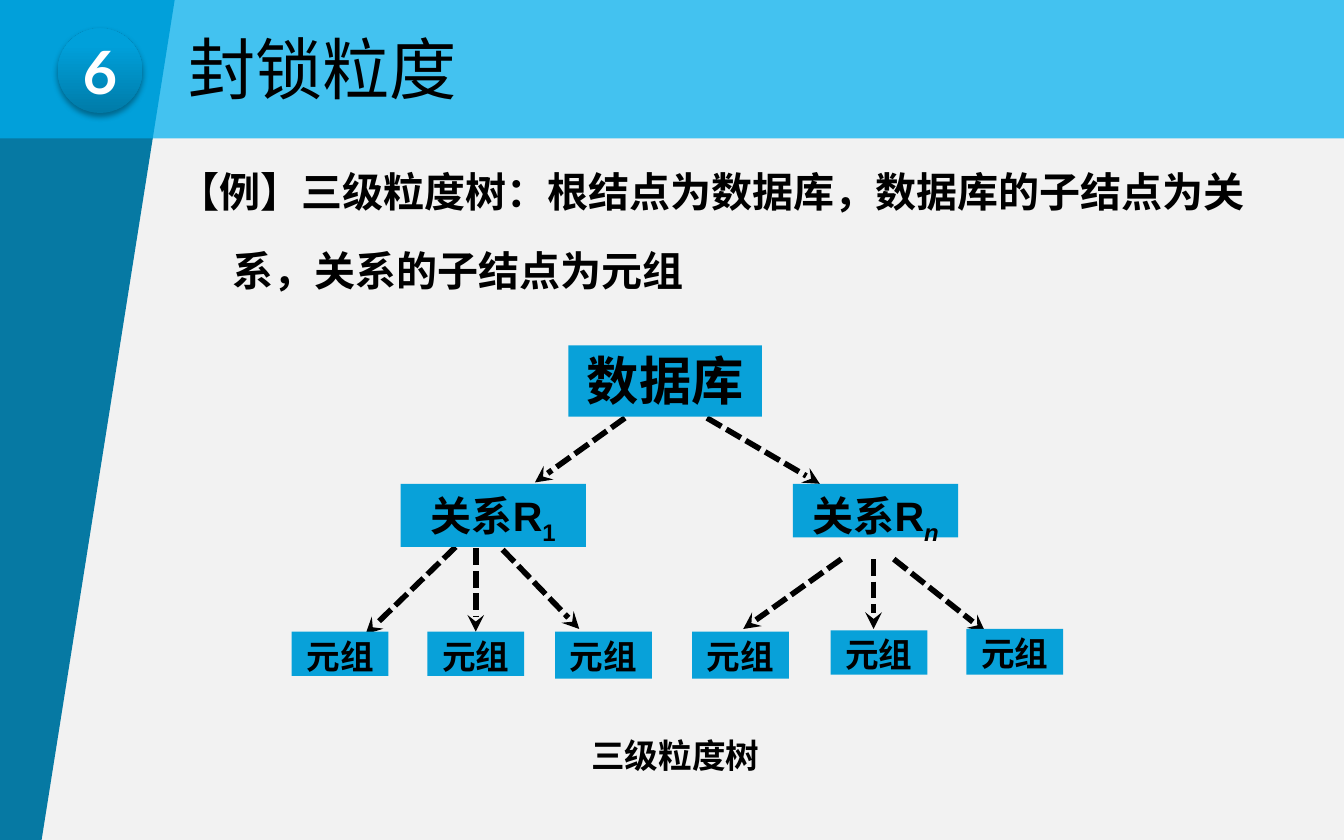
from pptx import Presentation
from pptx.util import Inches, Pt
from pptx.dml.color import RGBColor
from pptx.enum import dml, shapes, text
from pptx.oxml.ns import qn
from lxml import etree

HUES = {"paper": "F2F2F2", "side": "0679A3", "bar": "00B0F0", "node": "08A1D9",
        "ink": "000000", "white": "FFFFFF", "deep": "007BA8", "light": "00A0DA"}
SANS, CJK = "Arial", "Noto Sans CJK SC"
MID = text.PP_ALIGN.CENTER


def hue(name):
    return RGBColor.from_string(HUES[name])


def sub(node, tag, **attrs):
    return etree.SubElement(node, qn(tag), attrs)


def grid(box, cols, rows):
    left, top, wide, high = box

    def cell(x, y, *size):
        spot = [left + wide * x / cols, top + high * y / rows]
        if size:
            spot += [wide * size[0] / cols, high * size[1] / rows]
        return [Inches(v) for v in spot]
    return cell


def plain(shape, fill=None):
    shape.shadow.inherit = False
    shape.line.fill.background()
    if fill:
        shape.fill.solid()
        shape.fill.fore_color.rgb = hue(fill)
    return shape


def run(para, words, size, face=SANS, color="ink", bold=True, **extra):
    item = para.add_run()
    item.text = words
    font = item.font
    font.size, font.name, font.bold = Pt(size), face, bold
    font.color.rgb = hue(color)
    font.italic = extra.get("italic")
    sub(font._element, "a:ea", typeface=CJK)
    if "base" in extra:
        font._element.set("baseline", str(extra["base"] * 1000))


def panel(slide, box):
    cell = grid(box, 100, 100)
    points = [cell(x, y) for x, y in [(0, 0), (13, 0), (3.1, 100), (0, 100)]]
    path = slide.shapes.build_freeform(*points[0])
    path.add_line_segments(points[1:], close=True)
    plain(path.convert_to_shape(), "side")


def head(slide, box):
    cell = grid(box, 100, 100)
    rect = shapes.MSO_SHAPE.RECTANGLE
    bar = plain(slide.shapes.add_shape(rect, *cell(0, 0, 100, 100)), "bar")
    tint = bar.fill._xPr.find(qn("a:solidFill"))[0]
    sub(tint, "a:alpha", val="72000")

    title = slide.shapes.title
    title.left, title.top, title.width, title.height = cell(13, 0, 22.4, 97)
    frame = title.text_frame
    frame.word_wrap = False
    frame.vertical_anchor = text.MSO_ANCHOR.MIDDLE
    frame.paragraphs[0].alignment = text.PP_ALIGN.LEFT
    run(frame.paragraphs[0], "封锁粒度", 36, bold=False)
    slide.shapes._spTree.append(title._element)

    disc = slide.shapes.add_shape(shapes.MSO_SHAPE.OVAL, *cell(4.3, 20.4, 6.3, 61.2))
    plain(disc)
    disc.fill.gradient()
    disc.fill.gradient_angle = 90
    for stop, name, place in zip(disc.fill.gradient_stops, ("deep", "light"), (0, 0.8)):
        stop.color.rgb, stop.position = hue(name), place
    effect = disc._element.spPr.find(qn("a:effectLst"))
    shade = sub(effect, "a:outerShdw", blurRad=str(Pt(3.1)), dist=str(Pt(1.8)),
                dir="5400000", algn="t", rotWithShape="0")
    sub(sub(shade, "a:srgbClr", val=HUES["ink"]), "a:alpha", val="35000")
    frame = disc.text_frame
    frame.word_wrap = False
    frame.vertical_anchor = text.MSO_ANCHOR.MIDDLE
    frame.paragraphs[0].alignment = MID
    run(frame.paragraphs[0], "6", 32, "Lato", "white")


def body(slide, box):
    frame = slide.shapes.add_textbox(*grid(box, 1, 1)(0, 0, 1, 1)).text_frame
    frame.word_wrap = True
    lines = [
        (-0.4, [("【", CJK), ("例", SANS),
                ("】三级粒度树：根结点为数据库，数据库的子结点为关", CJK)]),
        (0, [("系，关系的子结点为元组", CJK)]),
    ]
    for index, (indent, parts) in enumerate(lines):
        para = frame.add_paragraph() if index else frame.paragraphs[0]
        para.line_spacing, para.space_before = 1.3, Pt(8)
        props = para._p.get_or_add_pPr()
        props.set("marL", str(Inches(0.4)))
        props.set("indent", str(Inches(indent)))
        for words, face in parts:
            run(para, words, 22, face)


def node(slide, spot, words, size, **low):
    shape = plain(slide.shapes.add_shape(shapes.MSO_SHAPE.RECTANGLE, *spot), "node")
    frame = shape.text_frame
    frame.word_wrap = False
    frame.vertical_anchor = text.MSO_ANCHOR.TOP
    para = frame.paragraphs[0]
    para.alignment, para.line_spacing = MID, 0.96
    run(para, words, size)
    if low:
        run(para, low["mark"], size, base=-25, italic=low.get("italic"))
    return shape


def arrow(slide, start, end):
    link = slide.shapes.add_connector(shapes.MSO_CONNECTOR.STRAIGHT, *start, *end)
    link.line.color.rgb, link.line.width = hue("ink"), Pt(3)
    link.line.dash_style = dml.MSO_LINE.SQUARE_DOT
    sub(link.line._get_or_add_ln(), "a:tailEnd", type="stealth")
    sub(link._element.spPr, "a:effectLst")
    return link


def tree(slide, box):
    cell = grid(box, 600, 350)
    ends = [(265, 61, 198, 109), (326, 61, 410, 110),
            (139, 157, 72, 222), (154, 158, 154, 220), (174, 159, 231, 218),
            (426, 166, 353, 218), (450, 166, 450, 218), (465, 166, 533, 220)]
    links = [arrow(slide, cell(*end[:2]), cell(*end[2:])) for end in ends]

    node(slide, cell(223, 7, 144, 53), "数据库", 28)
    node(slide, cell(98, 110, 138, 47), "关系R", 22, mark="1")
    node(slide, cell(390, 110, 123, 40), "关系R", 22, mark="n", italic=True)
    leaves = [(17, 220, 33), (118, 220, 33), (213, 220, 35),
              (315, 220, 35), (418, 219, 33), (519, 218, 34)]
    rows = [node(slide, cell(x, y, 72, high), "元组", 18) for x, y, high in leaves]
    links[3].end_connect(rows[1], 0)

    frame = slide.shapes.add_textbox(*cell(229, 292, 147, 46)).text_frame
    frame.word_wrap = False
    frame.paragraphs[0].alignment = MID
    run(frame.paragraphs[0], "三级粒度树", 18, CJK)


def main():
    deck = Presentation()
    wide, high = 10, 6.25
    deck.slide_width, deck.slide_height = Inches(wide), Inches(high)
    slide = deck.slides.add_slide(deck.slide_layouts[5])
    slide.background.fill.solid()
    slide.background.fill.fore_color.rgb = hue("paper")
    panel(slide, (0, 0, wide, high))
    head(slide, (0, 0, wide, 1.03))
    body(slide, (1.23, 1.08, 8.58, 1.26))
    tree(slide, (2, 2.5, 6, 3.5))
    deck.save("out.pptx")


if __name__ == "__main__":
    main()
